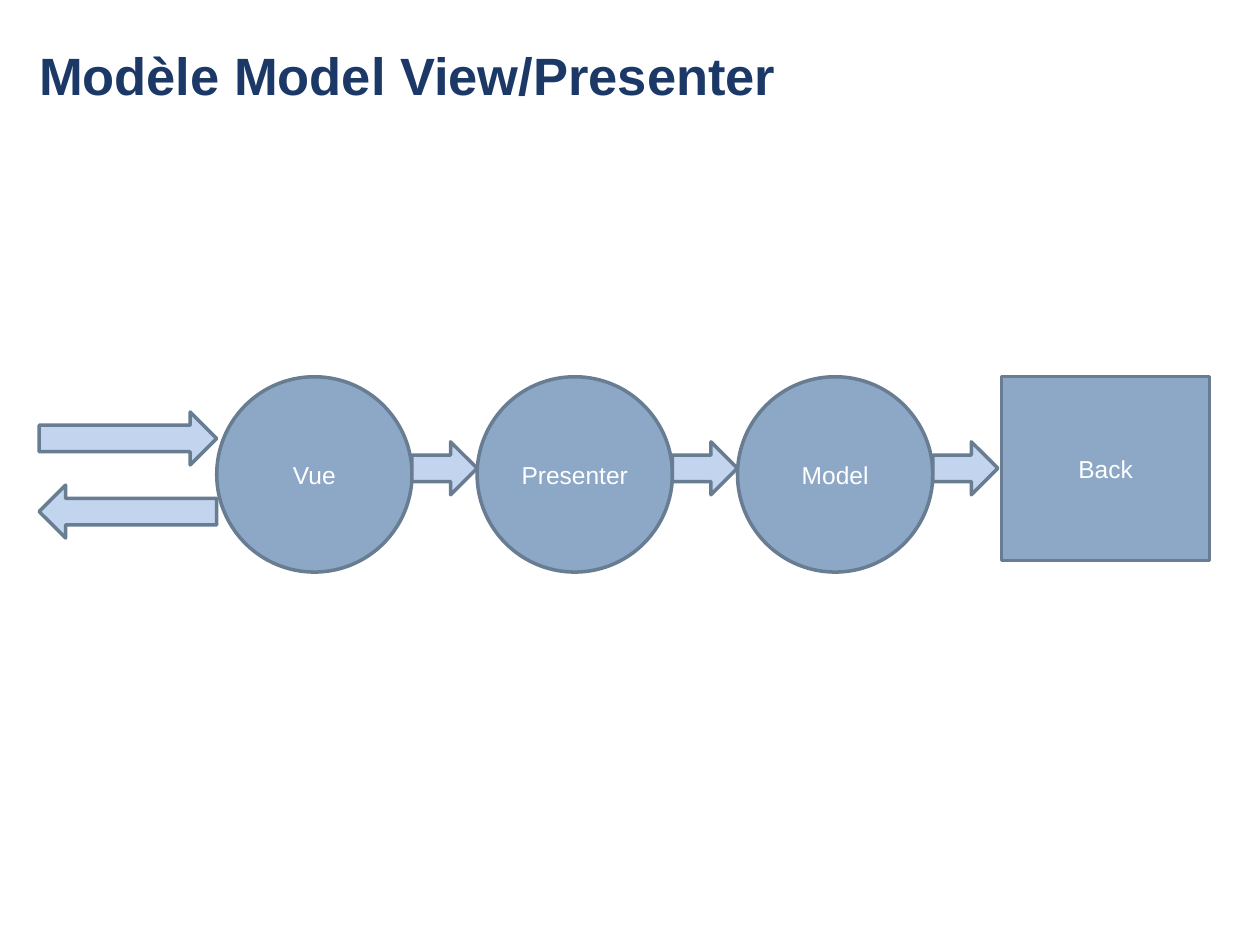
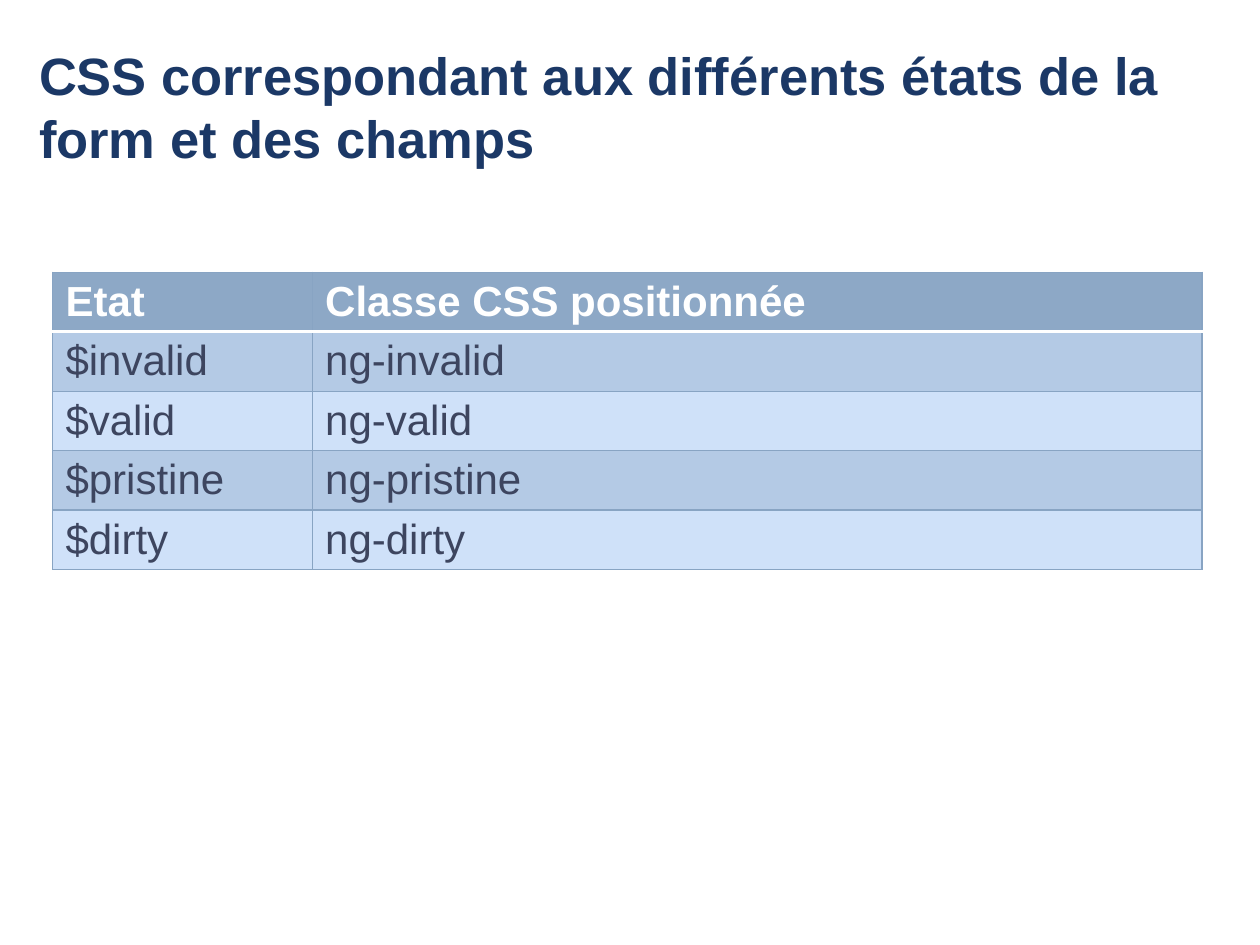
from collections import namedtuple

from lxml import etree
from pptx import Presentation
from pptx import util as u
from pptx.dml.color import RGBColor
from pptx.enum import shapes, text
from pptx.oxml import ns

FONT = "Arial"
WIDTH, HEIGHT = 10, 7.5
NAVY, WHITE, SLATE = "1B3866", "FFFFFF", "3D455F"
STEEL, OUTLINE, PALE = "8DA8C6", "687C92", "C3D4EF"
GRID_LINE, BANDS = "88A4C3", ("B4CAE5", "CFE1F9")

Box = namedtuple("Box", "left top width height")
TITLE_BOX = Box(0.31, 0.31, 9.37, 0.94)
FLOW_BOX = Box(0.31, 2.99, 9.29, 1.55)
TABLE_BOX = Box(0.42, 2.16, 9.12, 2.36)


def color(code):
    return RGBColor.from_string(code)


def inches(box):
    return [u.Inches(length) for length in box]


def add_span(para, words, size, code, bold=False):
    span = para.add_run()
    span.text = words
    span.font.name = FONT
    span.font.size = u.Pt(size)
    span.font.bold = bold
    span.font.color.rgb = color(code)


def add_page(deck, heading):
    page = deck.slides.add_slide(deck.slide_layouts.get_by_name("Title Only"))
    title = page.shapes.title
    title.left, title.top, title.width, title.height = inches(TITLE_BOX)
    frame = title.text_frame
    frame.word_wrap = True
    frame.auto_size = text.MSO_AUTO_SIZE.NONE
    frame.vertical_anchor = text.MSO_ANCHOR.TOP
    frame.margin_left = frame.margin_right = frame.margin_bottom = 0
    frame.margin_top = u.Inches(0.03)
    para = frame.paragraphs[0]
    para.alignment = text.PP_ALIGN.LEFT
    para.line_spacing = u.Pt(36)
    add_span(para, heading, 30, NAVY, bold=True)
    return page


def add_block(page, kind, box, fill, label=None):
    """Outlined shape, with a centred label when one is given."""
    block = page.shapes.add_shape(kind, *inches(box))
    block.shadow.inherit = False
    block.fill.solid()
    block.fill.fore_color.rgb = color(fill)
    block.line.color.rgb = color(OUTLINE)
    block.line.width = u.Pt(2)
    if label:
        frame = block.text_frame
        frame.vertical_anchor = text.MSO_ANCHOR.MIDDLE
        para = frame.paragraphs[0]
        para.alignment = text.PP_ALIGN.CENTER
        add_span(para, label, 14, WHITE)
    return block


def draw_flow(page, box, stages, target):
    """Circles joined by arrows, from an exchange at the left to a target."""
    kind = shapes.MSO_SHAPE
    circle = box.height
    gap = circle / 3
    entry = 1.41
    arrow = 0.42
    first = box.left + entry

    for index, label in enumerate(stages):
        left = first + index * (circle + gap)
        add_block(page, kind.OVAL, Box(left, box.top, circle, circle), STEEL, label)
        add_block(page, kind.RIGHT_ARROW,
                  Box(left + circle, box.top + gap, gap, arrow), PALE)

    side = 1.65
    add_block(page, kind.RECTANGLE,
              Box(box.left + box.width - side, box.top, side, 1.46), STEEL, target)

    for offset, turn in ((0.28, 0), (0.86, 180)):
        exchange = add_block(page, kind.RIGHT_ARROW,
                             Box(box.left, box.top + offset, entry, arrow), PALE)
        exchange.rotation = turn


def add_border(cell, side, code, points):
    line = etree.SubElement(cell._tc.get_or_add_tcPr(), ns.qn(f"a:ln{side}"),
                            w=str(u.Pt(points)))
    fill = etree.SubElement(line, ns.qn("a:solidFill"))
    etree.SubElement(fill, ns.qn("a:srgbClr"), val=code)


def draw_table(page, box, rows):
    table = page.shapes.add_table(len(rows), 2, *inches(box)).table
    for column, share in zip(table.columns, (0.226, 0.774)):
        column.width = u.Inches(box.width * share)
    for row_index, values in enumerate(rows):
        header = row_index == 0
        table.rows[row_index].height = u.Inches(box.height / len(rows))
        for column_index, value in enumerate(values):
            cell = table.cell(row_index, column_index)
            rule_below_header = {"T": row_index == 1, "B": header}
            for side in "LRTB":
                strong = rule_below_header.get(side, False)
                add_border(cell, side, *((WHITE, 2) if strong else (GRID_LINE, 0.75)))
            cell.fill.solid()
            cell.fill.fore_color.rgb = color(
                STEEL if header else BANDS[(row_index - 1) % 2])
            add_span(cell.text_frame.paragraphs[0], value, 24,
                     WHITE if header else SLATE, bold=header)


def main():
    deck = Presentation()
    deck.slide_width, deck.slide_height = u.Inches(WIDTH), u.Inches(HEIGHT)

    page = add_page(deck, "Modèle Model View/Presenter")
    draw_flow(page, FLOW_BOX, ("Vue", "Presenter", "Model"), "Back")

    page = add_page(
        deck, "CSS correspondant aux différents états de la form et des champs")
    states = ("invalid", "valid", "pristine", "dirty")
    draw_table(page, TABLE_BOX, [("Etat", "Classe CSS positionnée")]
               + [(f"${state}", f"ng-{state}") for state in states])

    deck.save("out.pptx")


if __name__ == "__main__":
    main()
